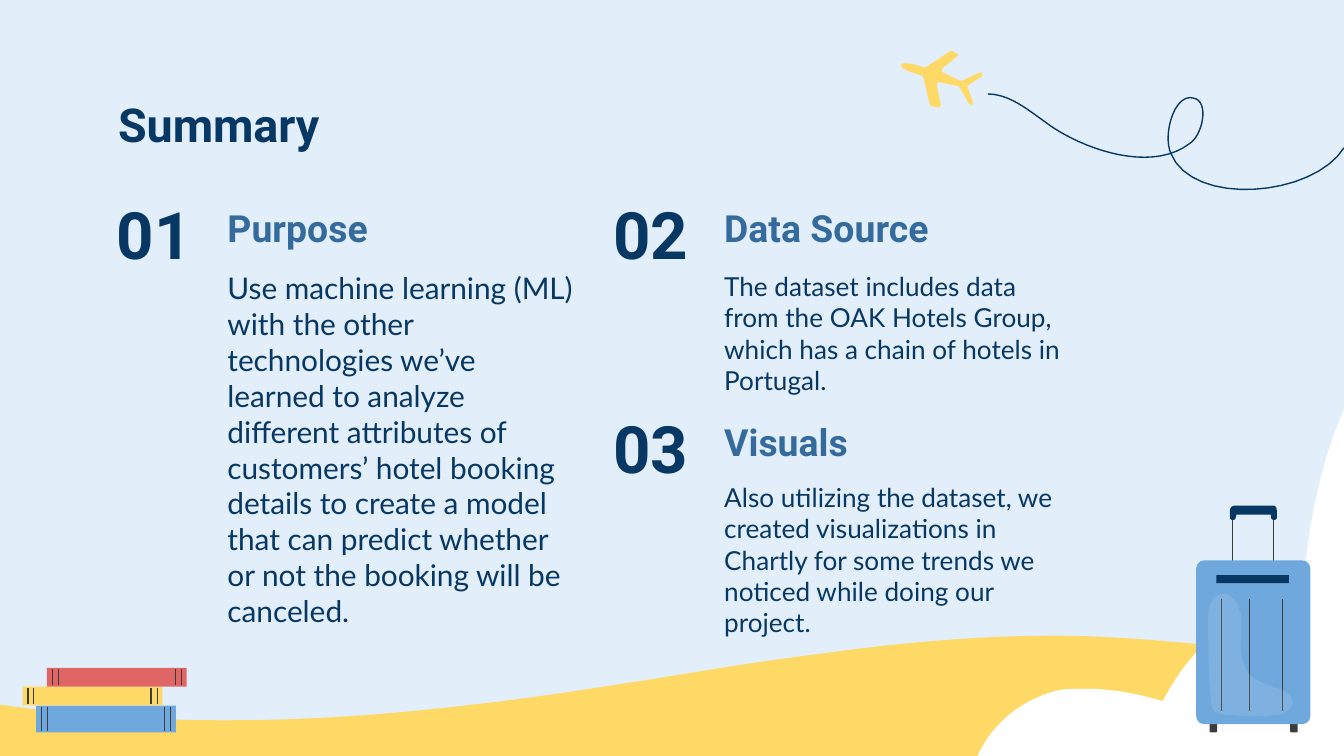
from lxml import etree
from pptx import Presentation
from pptx.dml.color import RGBColor
from pptx.enum.shapes import MSO_CONNECTOR, MSO_SHAPE as SHAPE
from pptx.enum.text import MSO_ANCHOR as ANCHOR, PP_ALIGN as ALIGN
from pptx.oxml.ns import qn
from pptx.util import Pt

SKY = RGBColor(0xE2, 0xEE, 0xFA)
SAND = RGBColor(0xFF, 0xD9, 0x66)
WHITE = RGBColor(0xFF, 0xFF, 0xFF)
NAVY = RGBColor(0x07, 0x37, 0x63)
STEEL = RGBColor(0x35, 0x6B, 0x9C)
BLUE = RGBColor(0x6F, 0xA8, 0xDC)
RED = RGBColor(0xE0, 0x66, 0x66)
CHARCOAL = RGBColor(0x3C, 0x3C, 0x3B)

WAVE = [(-2, 37.3), (25, 41, 66, 46, 119.5, 45.9), (155, 46, 196, 44, 242.6, 38.7),
        (291, 33.4, 313, 29.4, 351, 23.6), (379, 19, 409, 14, 437, 10.6),
        (477, 5, 520, 0.6, 563.8, 0.6), (590, 0.6, 614, 2.5, 641, 5),
        (668, 8, 695, 14, 720, 20.7), (720, 65), (-2, 65)]
CLOUD = [(197, 0), (197, 187), (0, 187), (9, 166, 27, 154, 45, 150),
         (50, 149.4, 54.5, 149.4, 59.5, 149.4), (73, 149.4, 86, 152, 100, 156),
         (116.4, 123.4, 145, 102.6, 175.4, 99.7), (176, 68, 185, 26, 197, 0)]
PLANE = [(26, 0), (13, 8.6), (11.5, 8.6), (5.8, 6.5, 2.9, 6.5, 0.7, 6.5),
         (0, 6.5, -0.7, 7.9, 0, 8.6), (2.2, 10.8, 8.6, 12.2, 10, 13),
         (10.8, 13, 11.5, 13.5, 11.5, 13.7), (15.1, 28.8), (16, 29.5), (19.4, 30.2),
         (20.2, 30.2, 20.9, 29.5, 20.9, 28.8), (18.7, 18),
         (18.7, 17.3, 19.4, 16.6, 20.2, 16.6), (30.2, 18.7), (31, 19.4), (36, 28.1),
         (36.5, 29, 38.9, 29, 38.2, 27.4), (35.3, 19.4), (35, 18.7, 35.3, 18, 36, 18),
         (42.5, 13.7), (43.5, 13, 43.2, 11.5, 42.5, 11.5), (41.8, 11.5), (32.4, 15.8),
         (31, 15.8), (22.3, 11.5), (21.6, 11.5, 20.9, 10, 21.6, 9.4), (29.5, 2.9),
         (30.2, 2.9, 30.2, 1.4, 29.5, 1.4), (27.4, 0)]
TRAIL = [(0, 0), (15.1, 0, 27.4, 14.4, 41, 21.6), (60.5, 32.4, 90, 40.3, 108, 26.6),
         (115.2, 22.3, 118.8, 3.6, 110.2, 2.2), (100, -0.7, 93.6, 21.6, 98, 31.7),
         (109.4, 60.5, 174.2, 55.4, 190.8, 28.8)]
GRIP = [(21, 0.2), (41, 0.2), (42.5, 0, 43.2, 1.2, 43.2, 2.9), (43.2, 7),
        (42.5, 8.1, 41, 8.1, 40.3, 7.2), (40, 5), (21.6, 5), (21, 7.2),
        (20.5, 8.1, 18.7, 8.1, 18, 7), (18, 3.5), (18, 1.5, 19, 0.2, 21, 0.2)]
SHINE = [(14.4, 47.5), (12.2, 47.5, 10, 48.3, 8.6, 51.1), (6.5, 54, 6.5, 57.6, 6.5, 60.5),
         (6.5, 74.9, 6.5, 89.3, 7.9, 103.7), (7.9, 105.9, 7.9, 108.7, 10, 110.2),
         (11.5, 111.6, 13.7, 111.6, 15.8, 112.3), (20.2, 112.3, 25.2, 113, 30.2, 113),
         (33.8, 113, 37.4, 113, 41, 112.3), (43.2, 112.3, 45.4, 112.3, 47.5, 110.9),
         (49.7, 110.2, 51.8, 108, 51.8, 105.9), (51.8, 101.5, 46.8, 98.6, 42.5, 97.9),
         (37.4, 95.8, 31.7, 94.3, 28.1, 90), (24.5, 85, 23.8, 78.5, 23.8, 72.7),
         (23.8, 67, 25.2, 61.2, 23, 55.4), (22.3, 51.1, 18, 47.5, 14.4, 47.5)]


def paint(shape, fill=None, line=None, weight=0.75):
    shape.shadow.inherit = False
    if fill is None:
        shape.fill.background()
    else:
        shape.fill.solid()
        shape.fill.fore_color.rgb = fill
    if line is None:
        shape.line.fill.background()
    else:
        shape.line.color.rgb = line
        shape.line.width = Pt(weight)
    return shape


def flatten(outline, steps=16):
    points = [outline[0]]
    for segment in outline[1:]:
        if len(segment) == 2:
            points.append(segment)
            continue
        start, ends = points[-1], (segment[:2], segment[2:4], segment[4:])
        for step in range(1, steps + 1):
            t = step / steps
            weights = ((1 - t) ** 3, 3 * t * (1 - t) ** 2, 3 * t * t * (1 - t), t ** 3)
            points.append(tuple(sum(w * p[axis] for w, p in zip(weights, (start, *ends)))
                                for axis in (0, 1)))
    return points


def curve(slide, left, top, outline, closed=True, **style):
    points = [(Pt(left + x), Pt(top + y)) for x, y in flatten(outline)]
    builder = slide.shapes.build_freeform(*points[0], scale=1.0)
    builder.add_line_segments(points[1:], close=closed)
    return paint(builder.convert_to_shape(), **style)


def block(slide, left, top, width, height, radius=0, **style):
    kind = SHAPE.ROUNDED_RECTANGLE if radius else SHAPE.RECTANGLE
    shape = slide.shapes.add_shape(kind, Pt(left), Pt(top), Pt(width), Pt(height))
    if radius:
        shape.adjustments[0] = radius / min(width, height)
    return paint(shape, **style)


def upright(slide, x, top, bottom, weight):
    rule = slide.shapes.add_connector(MSO_CONNECTOR.STRAIGHT, Pt(x), Pt(top), Pt(x), Pt(bottom))
    rule.line.color.rgb = CHARCOAL
    rule.line.width = Pt(weight)
    etree.SubElement(rule._element.spPr, qn("a:effectLst"))


def write(slide, left, top, width, height, words, size, color, face="Roboto", bold=True,
          anchor=ANCHOR.TOP, align=ALIGN.LEFT):
    frame = slide.shapes.add_textbox(Pt(left), Pt(top), Pt(width), Pt(height)).text_frame
    frame.word_wrap = True
    frame.vertical_anchor = anchor
    frame.margin_left = frame.margin_right = frame.margin_top = frame.margin_bottom = Pt(7.2)
    paragraph = frame.paragraphs[0]
    paragraph.text = words
    paragraph.alignment = align
    paragraph.font.name, paragraph.font.size, paragraph.font.bold = face, Pt(size), bold
    paragraph.font.color.rgb = color


def landscape(slide, width, height):
    curve(slide, 0, height - 65, WAVE, fill=SAND)
    curve(slide, width - 197, 219.6, CLOUD, fill=WHITE)


def topic(slide, left, top, number, heading, body, size, body_top, body_height):
    write(slide, left, top, 64.4, 46.8, number, 35, NAVY,
          anchor=ANCHOR.MIDDLE, align=ALIGN.CENTER)
    write(slide, left + 64.4, top + 10, 201.6, 29.5, heading, 20, STEEL, anchor=ANCHOR.BOTTOM)
    write(slide, left + 64.4, top + body_top, 201.6, body_height, body, size, NAVY, "Lato", False)


def suitcase(slide, left, top):
    for wheel in (7.2, 50.4):
        block(slide, left + wheel, top + 114.5, 4, 7.2, 0.7, fill=CHARCOAL)
    block(slide, left + 19.4, top + 2.9, 22.3, 36, line=CHARCOAL, weight=0.58)
    block(slide, left, top + 29.5, 61.2, 87.8, 4.3, fill=BLUE)
    curve(slide, left, top, GRIP, fill=NAVY)
    block(slide, left + 10.8, top + 37.4, 38.9, 4.3, fill=NAVY)
    for seam in (13.7, 28.8, 46.1):
        upright(slide, left + seam, top + 50.4, top + 110, 0.63)
    shine = curve(slide, left, top, SHINE, fill=WHITE)
    tint = shine._element.spPr.find(qn("a:solidFill"))[0]
    etree.SubElement(tint, qn("a:alpha"), val="11000")


def books(slide, left, top):
    for inset, drop, height, cover, thin in ((7.2, 20.2, 14.4, BLUE, 0.64),
                                             (0, 10.1, 10.1, SAND, 0.49),
                                             (13, 0, 10.1, RED, 0.49)):
        x, y = left + inset, top + drop
        block(slide, x, y, 74.9, height, fill=cover)
        for band, extra in ((2.9, 0.3), (5.9, 0), (68.8, 0.3), (72, 0)):
            upright(slide, x + band, y + 0.7, y + height - 0.9, thin + extra)


def flight(slide, left, top):
    curve(slide, left, top, PLANE, fill=SAND)
    curve(slide, left + 46.1, top + 23, TRAIL, closed=False, line=NAVY)


def summary(slide, width, height):
    slide.background.fill.solid()
    slide.background.fill.fore_color.rgb = SKY
    landscape(slide, width, height)
    write(slide, 56.2, 43.9, 607.7, 43.2, "Summary", 25, NAVY)
    topic(slide, 50.4, 101.5, "01", "Purpose",
          "Use machine learning (ML) with the other technologies we’ve learned to analyze "
          "different attributes of customers’ hotel booking details to create a model that "
          "can predict whether or not the booking will be canceled.", 16, 36, 208)
    topic(slide, 316.5, 101.5, "02", "Data Source",
          "The dataset includes data from the OAK Hotels Group, which has a chain of hotels "
          "in Portugal.", 14, 36, 78.5)
    topic(slide, 316.5, 216, "03", "Visuals",
          "Also utilizing the dataset, we created visualizations in Chartly for some trends "
          "we noticed while doing our project.", 14, 34.6, 95)
    suitcase(slide, 640.8, 270.7)
    books(slide, 12.2, 357.8)
    flight(slide, 483.1, 27.4)


deck = Presentation()
deck.slide_width, deck.slide_height = Pt(720), Pt(405)
summary(deck.slides.add_slide(deck.slide_layouts[6]), 720, 405)
deck.save("out.pptx")
